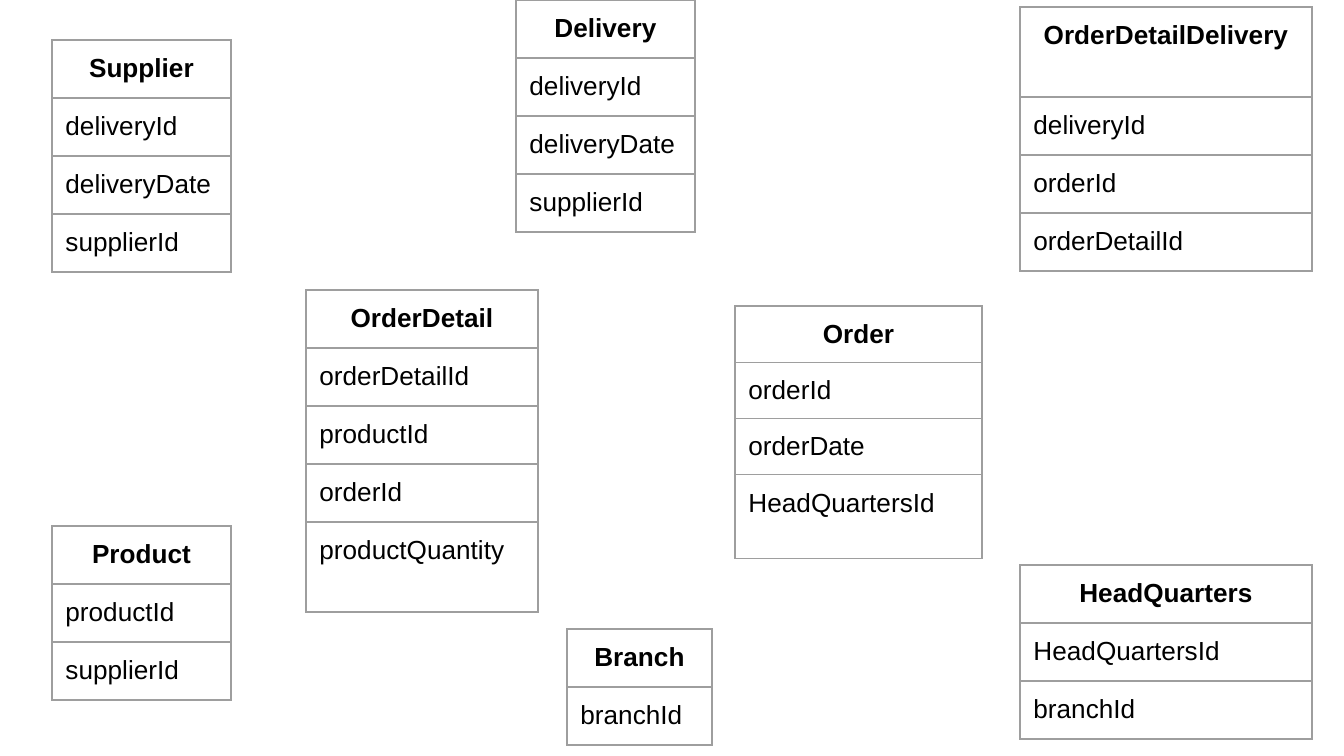
from lxml.etree import SubElement
from pptx import Presentation
from pptx.dml.color import RGBColor
from pptx.enum.text import PP_ALIGN
from pptx.oxml.ns import qn
from pptx.util import Inches, Pt

EMU_PER_PX = 914400 / 134.4
COLORS = {"text": "000000", "border": "9E9E9E"}
FONT = "Arial"
FONT_SIZE = 14
CELL_MARGIN = Inches(0.1)
ROW = 58
TALL_ROW = 90
ORDER_ROW = 56
ORDER_TALL_ROW = 84

ENTITIES = [
    ("Product", 52, 526, 179, ["productId", "supplierId"], [ROW] * 3),
    ("Supplier", 52, 40, 179,
     ["deliveryId", "deliveryDate", "supplierId"], [ROW] * 4),
    ("Delivery", 516, 0, 179,
     ["deliveryId", "deliveryDate", "supplierId"], [ROW] * 4),
    ("OrderDetail", 306, 290, 232,
     ["orderDetailId", "productId", "orderId", "productQuantity"],
     [ROW] * 4 + [TALL_ROW]),
    ("Branch", 567, 629, 145, ["branchId"], [ROW] * 2),
    ("HeadQuarters", 1020, 565, 292,
     ["HeadQuartersId", "branchId"], [ROW] * 3),
    ("Order", 735, 306, 247,
     ["orderId", "orderDate", "HeadQuartersId"],
     [ORDER_ROW] * 3 + [ORDER_TALL_ROW]),
    ("OrderDetailDelivery", 1020, 7, 292,
     ["deliveryId", "orderId", "orderDetailId"], [TALL_ROW] + [ROW] * 3),
]


def px(value):
    return round(value * EMU_PER_PX)


def add_borders(cell):
    properties = cell._tc.get_or_add_tcPr()
    for position, side in enumerate(("a:lnL", "a:lnR", "a:lnT", "a:lnB")):
        line = SubElement(properties, qn(side), w=str(Pt(0.75)))
        fill = SubElement(line, qn("a:solidFill"))
        SubElement(fill, qn("a:srgbClr"), val=COLORS["border"])
        properties.insert(position, line)


def fill_cell(cell, text, is_header):
    cell.margin_left = cell.margin_right = CELL_MARGIN
    cell.margin_top = cell.margin_bottom = CELL_MARGIN
    cell.fill.background()
    add_borders(cell)
    paragraph = cell.text_frame.paragraphs[0]
    paragraph.alignment = PP_ALIGN.CENTER if is_header else PP_ALIGN.LEFT
    run = paragraph.add_run()
    run.text = text
    run.font.name = FONT
    run.font.size = Pt(FONT_SIZE)
    run.font.bold = is_header
    run.font.color.rgb = RGBColor.from_string(COLORS["text"])


def add_entity(slide, name, left, top, width, fields, heights):
    table = slide.shapes.add_table(
        len(heights), 1, px(left), px(top), px(width), px(sum(heights))).table
    table.first_row = False
    table.horz_banding = False
    for index, (text, height) in enumerate(zip([name] + fields, heights)):
        table.rows[index].height = px(height)
        fill_cell(table.cell(index, 0), text, index == 0)


def main():
    presentation = Presentation()
    presentation.slide_width = px(1344)
    presentation.slide_height = px(756)
    slide = presentation.slides.add_slide(presentation.slide_layouts[6])
    for entity in ENTITIES:
        add_entity(slide, *entity)
    presentation.save("out.pptx")


if __name__ == "__main__":
    main()
